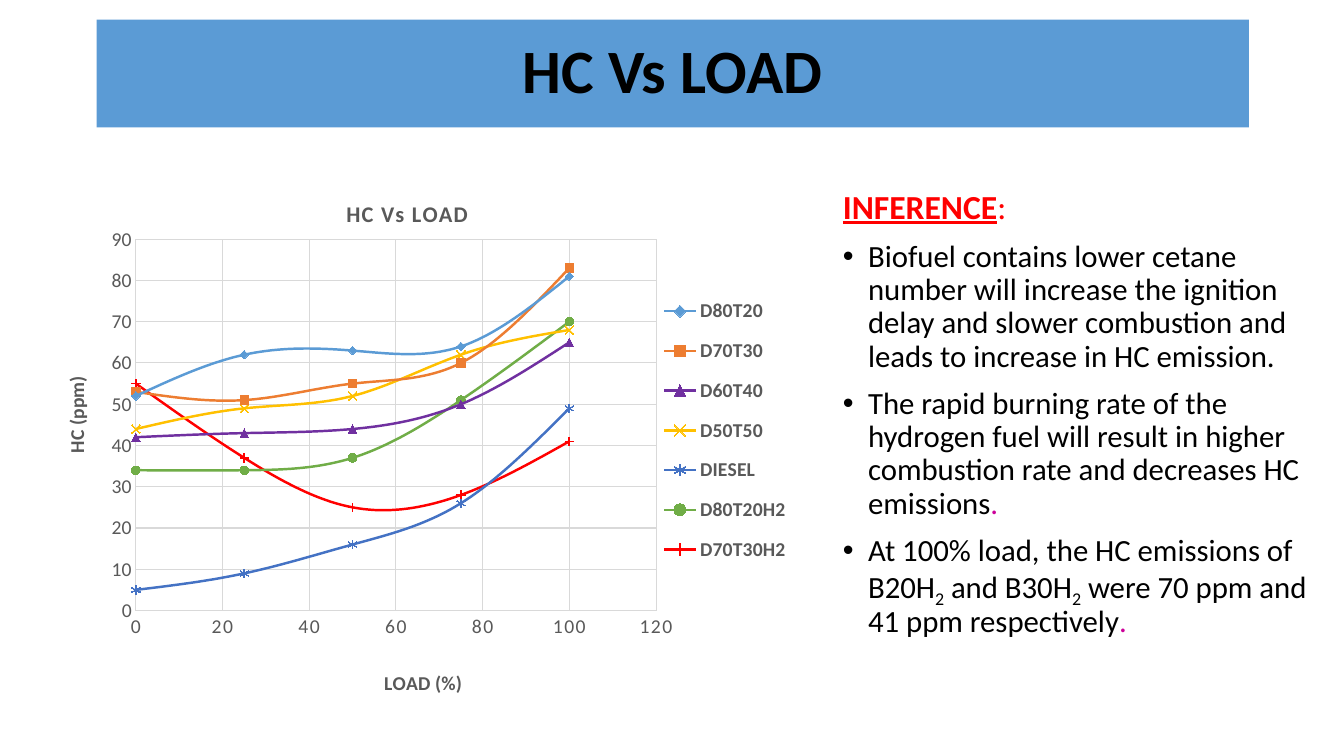
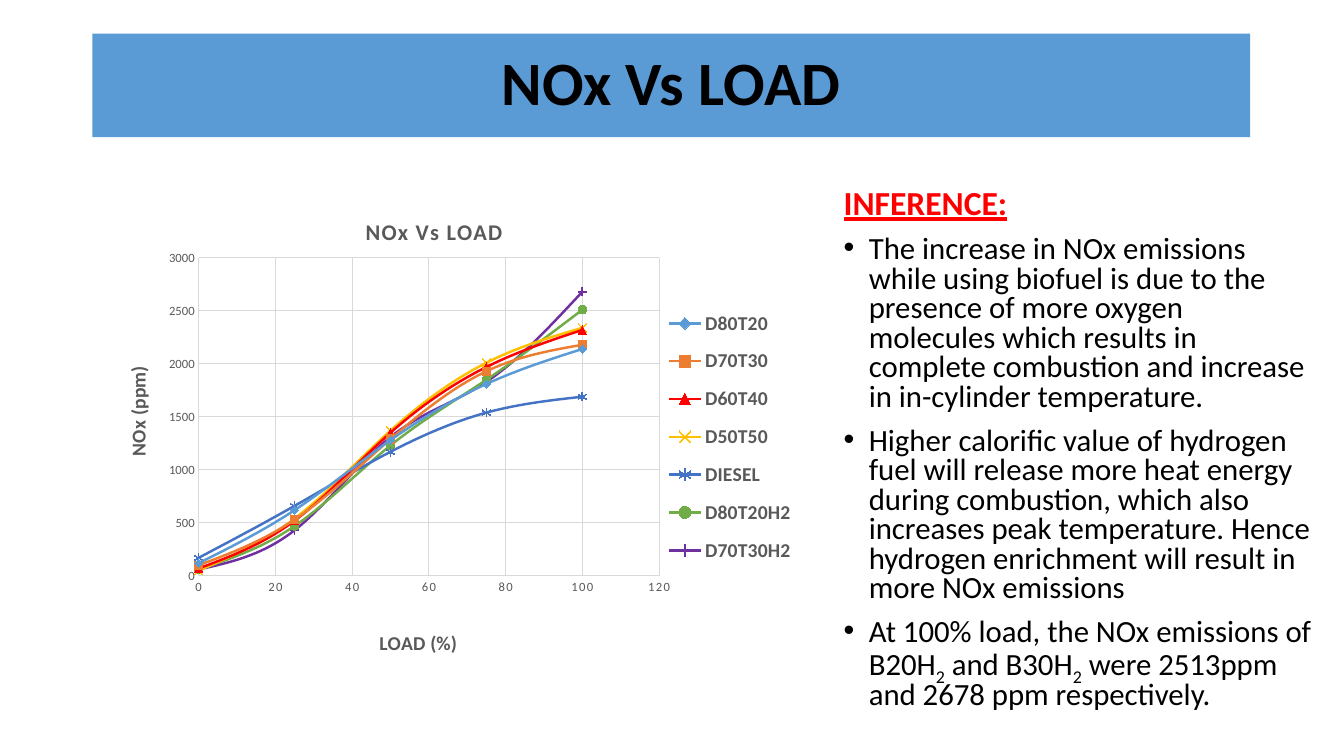
"""Build two emission slides, each with a title band, a scatter chart and an inference."""
from dataclasses import dataclass
from typing import Any, NamedTuple, Optional

from lxml import etree
from pptx import Presentation
from pptx import util as u
from pptx.chart import data
from pptx.dml import color
from pptx.enum import chart as kinds
from pptx.enum import text
from pptx.oxml import ns

COLORS = {
    "band": "5B9BD5", "black": "000000", "grey": "595959", "grid": "D9D9D9",
    "blue": "5B9BD5", "orange": "ED7D31", "purple": "7030A0", "yellow": "FFC000",
    "navy": "4472C4", "green": "70AD47", "red": "FF0000", "pink": "CC0099",
}
FONT = "Calibri"
LOADS = (0, 25, 50, 75, 100)
MARKERS = kinds.XL_MARKER_STYLE
OPEN_MARKERS = (MARKERS.X, MARKERS.STAR)
FUELS = {
    "D80T20": MARKERS.DIAMOND, "D70T30": MARKERS.SQUARE, "D60T40": MARKERS.TRIANGLE,
    "D50T50": MARKERS.X, "DIESEL": MARKERS.STAR, "D80T20H2": MARKERS.CIRCLE,
    "D70T30H2": MARKERS.PLUS,
}


class Box(NamedTuple):
    """Left, top, width and height in points."""
    left: float
    top: float
    width: float
    height: float

    def lengths(self) -> list[u.Length]:
        """Return the four lengths for a shape call."""
        return [u.Pt(value) for value in self]


class Span(NamedTuple):
    """A stretch of text in one format."""
    words: str
    color: str = "black"
    size: float = 22
    strong: bool = False
    subscript: bool = False


class Curve(NamedTuple):
    """The colour and readings of one fuel."""
    color: str
    readings: tuple[int, ...]


@dataclass
class Graph:
    """A scatter chart, its layout given as fractions of its box."""
    box: Box
    unit: str
    top_value: int
    step: int
    tick_size: float
    plot: tuple[float, ...]
    legend: tuple[float, ...]
    title_at: tuple[float, ...]
    load_at: tuple[float, ...]
    unit_at: tuple[float, ...]
    curves: tuple[Curve, ...]


@dataclass
class Topic:
    """The content of one slide."""
    title: str
    band: Box
    inference: Box
    line_spacing: float
    heading: tuple[Span, ...]
    points: tuple[tuple[Span, ...], ...]
    graph: Graph


def rgb(name: str) -> color.RGBColor:
    """Look up a named colour."""
    return color.RGBColor.from_string(COLORS[name])


def style(font: Any, size: float, shade: str, bold: bool = False, spacing: int = 0) -> None:
    """Format a font, with letter spacing in hundredths of a point."""
    font.name, font.size, font.bold = FONT, u.Pt(size), bold
    font.color.rgb = rgb(shade)
    if spacing:
        font._rPr.set("spc", str(spacing))


def add_layout(element: Any, fractions: tuple[float, ...], after: str = "",
               inner: bool = False) -> None:
    """Fix the place, and the size if given, of a chart part."""
    for old in element.findall(ns.qn("c:layout")):
        element.remove(old)
    layout = etree.Element(ns.qn("c:layout"))
    manual = etree.SubElement(layout, ns.qn("c:manualLayout"))
    settings = [("layoutTarget", "inner")] if inner else []
    settings += [("xMode", "edge"), ("yMode", "edge")]
    settings += list(zip("xywh", map(str, fractions)))
    for name, value in settings:
        etree.SubElement(manual, ns.qn(f"c:{name}")).set("val", value)
    before = element.find(ns.qn(after)) if after else None
    if before is None:
        element.insert(0, layout)
    else:
        before.addnext(layout)


def set_title(title: Any, words: str, size: float, at: tuple[float, ...],
              spacing: int = 0) -> None:
    """Write and place a chart or axis title."""
    title.text_frame.text = words
    style(title.text_frame.paragraphs[0].runs[0].font, size, "grey", True, spacing)
    add_layout(title._element, at, "c:tx")


def set_axis(axis: Any, words: str, at: tuple[float, ...], maximum: int, step: int,
             size: float, spacing: int = 0) -> None:
    """Scale and format one axis."""
    axis.minimum_scale, axis.maximum_scale, axis.major_unit = 0, maximum, step
    axis.major_tick_mark = axis.minor_tick_mark = kinds.XL_TICK_MARK.NONE
    axis.has_major_gridlines = True
    for line in (axis.format.line, axis.major_gridlines.format.line):
        line.color.rgb, line.width = rgb("grid"), u.Pt(0.75)
    style(axis.tick_labels.font, size, "grey", spacing=spacing)
    set_title(axis.axis_title, words, 14, at)


def draw_graph(page: Any, title: str, graph: Graph) -> None:
    """Add the scatter chart."""
    table = data.XyChartData()
    for fuel, curve in zip(FUELS, graph.curves):
        series = table.add_series(fuel)
        for load, reading in zip(LOADS, curve.readings):
            series.add_data_point(load, reading)
    chart = page.shapes.add_chart(
        kinds.XL_CHART_TYPE.XY_SCATTER_SMOOTH, *graph.box.lengths(), table).chart
    style(chart.font, 10, "black")
    chart.has_title = True
    set_title(chart.chart_title, title, 16, graph.title_at, 100)
    set_axis(chart.category_axis, "LOAD (%)", graph.load_at, 120, 20, graph.tick_size, 100)
    set_axis(chart.value_axis, graph.unit, graph.unit_at, graph.top_value, graph.step,
             graph.tick_size)
    turned = chart.value_axis.axis_title.text_frame._txBody.bodyPr
    turned.set("rot", "-5400000")
    turned.set("vert", "horz")
    chart.has_legend = True
    chart.legend.position = kinds.XL_LEGEND_POSITION.RIGHT
    chart.legend.include_in_layout = False
    style(chart.legend.font, 14, "grey", True)
    add_layout(chart.legend._element, graph.legend, "c:legendPos")
    add_layout(chart._chartSpace.xpath("c:chart/c:plotArea")[0], graph.plot, inner=True)
    plot = chart.plots[0]
    plot.vary_by_categories = False
    for series, curve, marker in zip(plot.series, graph.curves, FUELS.values()):
        series._element.get_or_add_smooth().val = True
        series.marker.style, series.marker.size = marker, 6
        for line in (series.format.line, series.marker.format.line):
            line.color.rgb = rgb(curve.color)
        series.format.line.width = u.Pt(1.75)
        fill = series.marker.format.fill
        if marker in OPEN_MARKERS:
            fill.background()
        else:
            fill.solid()
            fill.fore_color.rgb = rgb(curve.color)


def write_spans(para: Any, spans: tuple[Span, ...], line_spacing: float,
                space_before: Optional[float] = None) -> None:
    """Fill a paragraph with formatted runs."""
    para.line_spacing = line_spacing
    if space_before is not None:
        para.space_before = u.Pt(space_before)
    for span in spans:
        run = para.add_run()
        run.text = span.words
        style(run.font, span.size, span.color, span.strong)
        run.font.underline = span.strong
        if span.subscript:
            run.font._rPr.set("baseline", "-25000")


def draw_inference(page: Any, topic: Topic) -> None:
    """Add the heading and its bulleted points."""
    frame = page.shapes.add_textbox(*topic.inference.lengths()).text_frame
    frame.word_wrap = True
    write_spans(frame.paragraphs[0], topic.heading, topic.line_spacing)
    for point in topic.points:
        para = frame.add_paragraph()
        props = para._p.get_or_add_pPr()
        props.set("marL", str(u.Pt(18)))
        props.set("indent", str(-u.Pt(18)))
        etree.SubElement(props, ns.qn("a:buFont")).set("typeface", "Arial")
        etree.SubElement(props, ns.qn("a:buChar")).set("char", "•")
        write_spans(para, point, topic.line_spacing, 10)


def draw_title(page: Any, topic: Topic) -> None:
    """Turn the title placeholder into a coloured band."""
    band = page.shapes.title
    band.left, band.top, band.width, band.height = topic.band.lengths()
    band.fill.solid()
    band.fill.fore_color.rgb = rgb("band")
    frame = band.text_frame
    frame.text = topic.title
    frame.word_wrap = True
    frame.auto_size = text.MSO_AUTO_SIZE.NONE
    frame.vertical_anchor = text.MSO_ANCHOR.MIDDLE
    para = frame.paragraphs[0]
    para.alignment, para.line_spacing = text.PP_ALIGN.CENTER, 0.9
    style(para.runs[0].font, 44, "black", True)


SUB_TWO = Span("2", subscript=True)
HC = Topic(
    "HC Vs LOAD", Box(69, 14, 823, 77), Box(595, 132.5, 346, 375), 0.9,
    (Span("INFERENCE", "red", 24, True), Span(":", "red", 24)),
    (
        (Span("Biofuel contains lower cetane number will increase the ignition delay and "
              "slower combustion and leads to increase in HC emission."),),
        (Span("The rapid burning rate of the hydrogen fuel will result in higher "
              "combustion rate and decreases HC emissions"), Span(".", "pink")),
        (Span("At 100% load, the HC emissions of B20H"), SUB_TWO, Span(" and B30H"), SUB_TWO,
         Span(" were 70 ppm and 41 ppm respectively"), Span(".", "pink")),
    ),
    Graph(
        Box(26, 111.5, 546.5, 396), "HC (ppm)", 90, 10, 14,
        plot=(0.13, 0.15, 0.68, 0.67), legend=(0.81, 0.23, 0.18, 0.53),
        title_at=(0.4, 0.07), load_at=(0.45, 0.92), unit_at=(0.03, 0.39),
        curves=(
            Curve("blue", (52, 62, 63, 64, 81)),
            Curve("orange", (53, 51, 55, 60, 83)),
            Curve("purple", (42, 43, 44, 50, 65)),
            Curve("yellow", (44, 49, 52, 62, 68)),
            Curve("navy", (5, 9, 16, 26, 49)),
            Curve("green", (34, 34, 37, 51, 70)),
            Curve("red", (55, 37, 25, 28, 41)),
        ),
    ),
)
NOX = Topic(
    "NOx Vs LOAD", Box(66, 24, 827, 74), Box(595.5, 132, 350, 400), 0.8,
    (Span("INFERENCE:", "red", 24, True),),
    (
        (Span("The increase in NOx emissions while using biofuel is due to the presence of "
              "more oxygen molecules which results in complete combustion and increase in "
              "in-cylinder temperature."),),
        (Span("Higher calorific value of hydrogen fuel will release more heat energy during "
              "combustion, which also increases peak temperature. Hence hydrogen enrichment "
              "will result in more NOx emissions"),),
        (Span("At 100% load, the NOx emissions of B20H"), SUB_TWO, Span(" and B30H"), SUB_TWO,
         Span(" were 2513ppm and 2678 ppm respectively.")),
    ),
    Graph(
        Box(66, 131, 506, 355), "NOx (ppm)", 3000, 500, 9,
        plot=(0.15, 0.15, 0.65, 0.64), legend=(0.81, 0.23, 0.18, 0.56),
        title_at=(0.38, 0.06), load_at=(0.4, 0.89), unit_at=(0.04, 0.36),
        curves=(
            Curve("blue", (120, 620, 1280, 1810, 2140)),
            Curve("orange", (100, 530, 1290, 1930, 2180)),
            Curve("red", (70, 520, 1350, 1970, 2320)),
            Curve("yellow", (50, 540, 1370, 2010, 2340)),
            Curve("navy", (170, 660, 1170, 1540, 1690)),
            Curve("green", (60, 470, 1230, 1850, 2510)),
            Curve("purple", (60, 430, 1310, 1830, 2680)),
        ),
    ),
)


def main() -> None:
    """Build and save the deck."""
    deck = Presentation()
    deck.slide_width, deck.slide_height = u.Pt(960), u.Pt(540)
    for topic in (HC, NOX):
        page = deck.slides.add_slide(deck.slide_layouts.get_by_name("Title Only"))
        draw_title(page, topic)
        draw_inference(page, topic)
        draw_graph(page, topic.title, topic.graph)
    deck.save("out.pptx")


if __name__ == "__main__":
    main()
